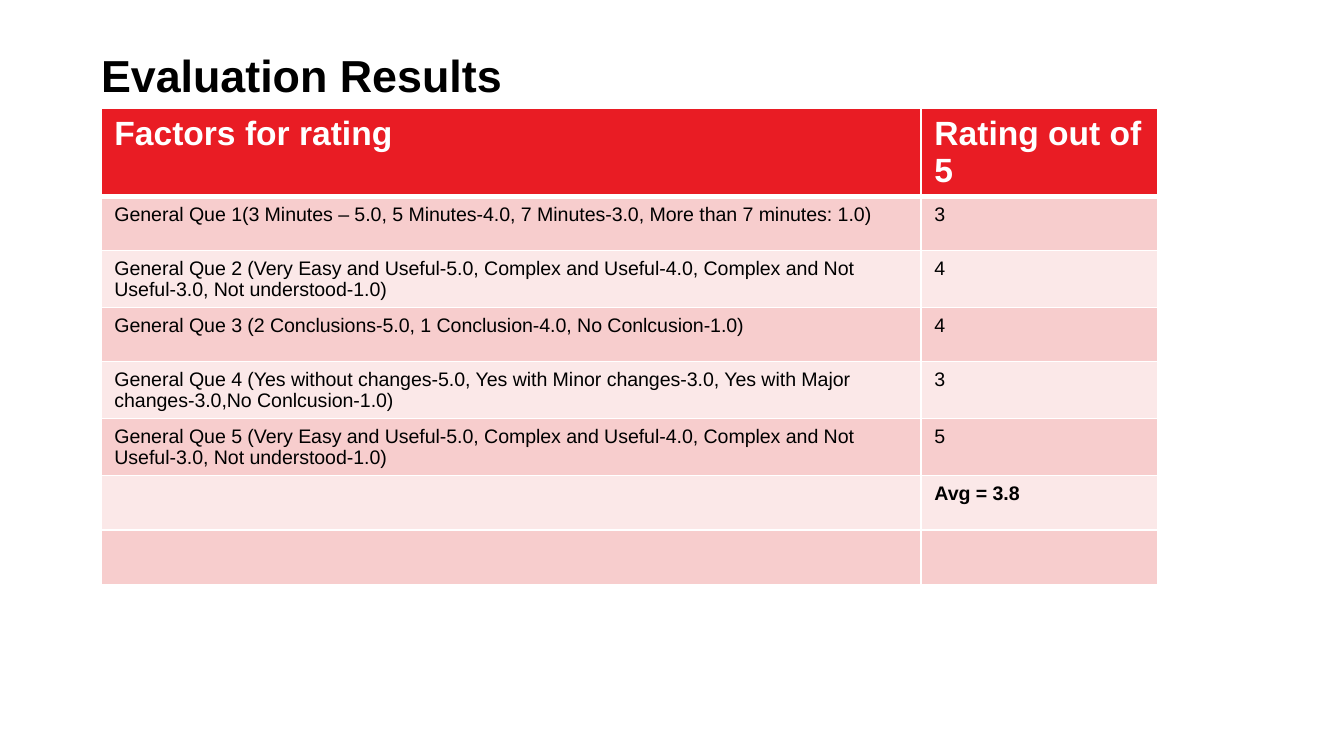
from lxml.etree import SubElement
from pptx import Presentation
from pptx.dml.color import RGBColor
from pptx.oxml.ns import qn
from pptx.util import Pt

SCALE = 914400 / 134.4  # EMU per px
COLORS = {"red": "E91C24", "rose": "F7CDCD", "blush": "FBE8E8",
          "white": "FFFFFF", "black": "000000"}
FONT = "Arial"

LEFT, TABLE_TOP = 101, 108
COLUMN_WIDTHS = [820, 237]
HEADER_HEIGHT, ROW_HEIGHT = 87, 54

TITLE = {"size": Pt(24), "bold": True, "color": "black"}
HEADER = {"size": Pt(18), "bold": True, "color": "white"}
BODY = {"size": Pt(10.5), "bold": False, "color": "black"}
AVERAGE = {**BODY, "bold": True}

USEFULNESS = ("(Very Easy and Useful-5.0, Complex and Useful-4.0, "
              "Complex and Not Useful-3.0, Not understood-1.0)")
ROWS = [
    ("Factors for rating", "Rating out of 5"),
    ("General Que 1(3 Minutes – 5.0, 5 Minutes-4.0, 7 Minutes-3.0, "
     "More than 7 minutes: 1.0)", "3"),
    (f"General Que 2 {USEFULNESS}", "4"),
    ("General Que 3 (2 Conclusions-5.0, 1 Conclusion-4.0, No Conlcusion-1.0)", "4"),
    ("General Que 4 (Yes without changes-5.0, Yes with Minor changes-3.0, "
     "Yes with Major changes-3.0,No Conlcusion-1.0)", "3"),
    (f"General Que 5 {USEFULNESS}", "5"),
    ("", "Avg = 3.8"),
    ("", ""),
]


def px(length):
    return round(length * SCALE)


def write(para, text, style):
    span = para.add_run()
    span.text = text
    span.font.name = FONT
    for name, value in style.items():
        if name == "color":
            span.font.color.rgb = RGBColor.from_string(COLORS[value])
        else:
            setattr(span.font, name, value)


def add_title(page, text):
    box = page.shapes.add_textbox(px(LEFT), px(54), px(1176), px(106))
    frame = box.text_frame
    frame.word_wrap = True
    for side in ("left", "top", "right", "bottom"):
        setattr(frame, f"margin_{side}", 0)
    para = frame.paragraphs[0]
    para.line_spacing = 0.9
    write(para, text, TITLE)


def set_borders(cell, widths):
    properties = cell._tc.get_or_add_tcPr()
    for side, width in widths.items():
        line = SubElement(properties, qn(f"a:ln{side}"), w=str(Pt(width)))
        fill = SubElement(line, qn("a:solidFill"))
        SubElement(fill, qn("a:srgbClr"), val=COLORS["white"])


def fill_cell(cell, text, row, style):
    # The line under the header is thicker; both neighbours share it
    set_borders(cell, {"L": 1, "R": 1, "T": 3 if row == 1 else 1,
                       "B": 3 if row == 0 else 1})
    band = "red" if row == 0 else ("blush", "rose")[row % 2]
    cell.fill.solid()
    cell.fill.fore_color.rgb = RGBColor.from_string(COLORS[band])
    if text:
        write(cell.text_frame.paragraphs[0], text, style)


def add_ratings(page, rows):
    heights = [HEADER_HEIGHT] + [ROW_HEIGHT] * (len(rows) - 1)
    table = page.shapes.add_table(
        len(rows), len(COLUMN_WIDTHS), px(LEFT), px(TABLE_TOP),
        px(sum(COLUMN_WIDTHS)), px(sum(heights))).table
    for column, width in zip(table.columns, COLUMN_WIDTHS):
        column.width = px(width)
    for r, (height, texts) in enumerate(zip(heights, rows)):
        table.rows[r].height = px(height)
        for c, text in enumerate(texts):
            style = HEADER if r == 0 else AVERAGE if text.startswith("Avg") else BODY
            fill_cell(table.cell(r, c), text, r, style)


def main():
    deck = Presentation()
    deck.slide_width, deck.slide_height = px(1344), px(756)
    page = deck.slides.add_slide(deck.slide_layouts[6])
    # Ratings table, then the title above it
    add_ratings(page, ROWS)
    add_title(page, "Evaluation Results")
    deck.save("out.pptx")


if __name__ == "__main__":
    main()
